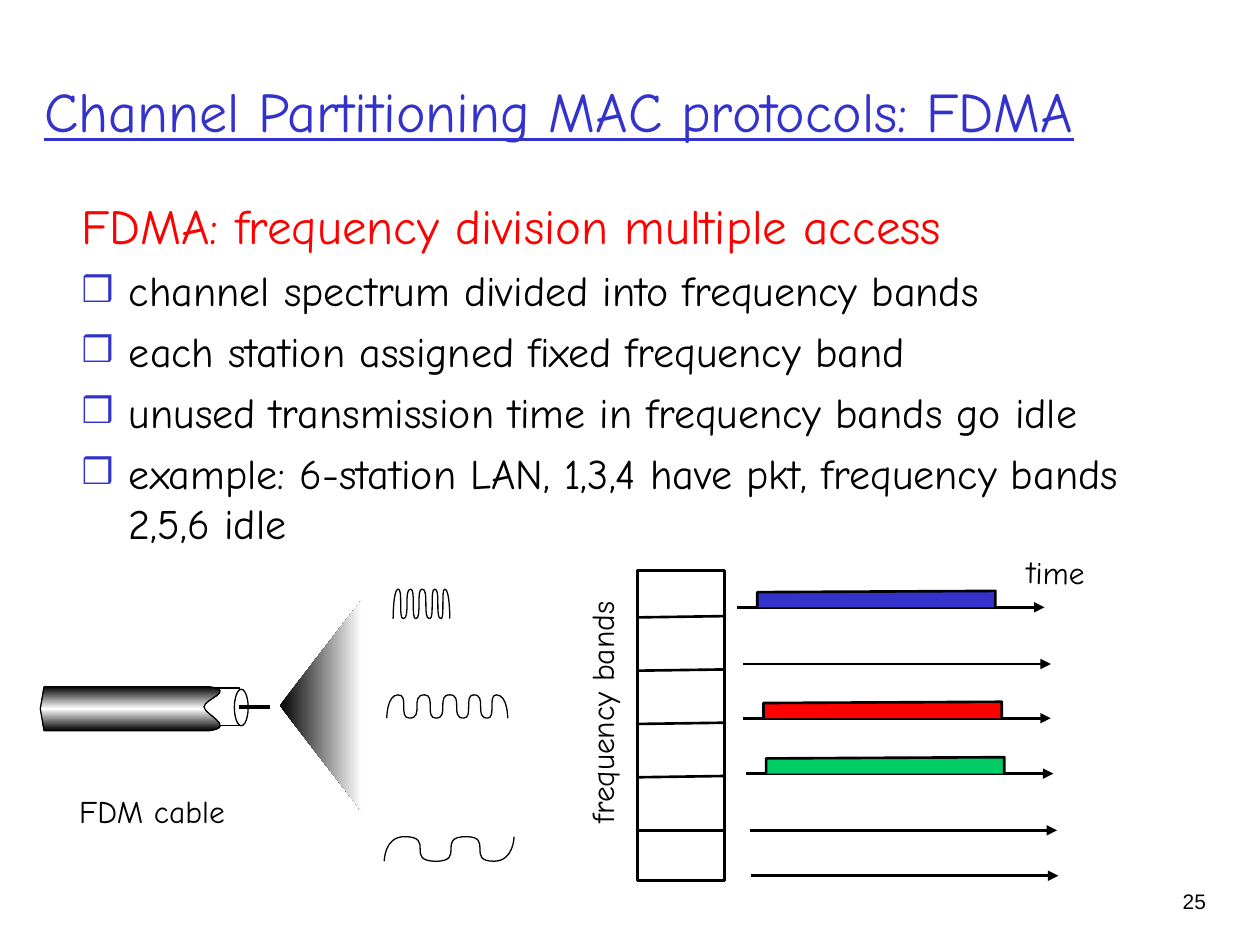
from copy import deepcopy

from lxml import etree
from pptx import Presentation
from pptx.dml.color import RGBColor
from pptx.enum.shapes import MSO_CONNECTOR, MSO_SHAPE
from pptx.enum.text import MSO_ANCHOR, MSO_AUTO_SIZE, PP_ALIGN
from pptx.oxml.ns import qn
from pptx.util import Inches, Pt

LINE = MSO_CONNECTOR.STRAIGHT
RECT, OVAL = MSO_SHAPE.RECTANGLE, MSO_SHAPE.OVAL
LEFT, RIGHT = PP_ALIGN.LEFT, PP_ALIGN.RIGHT
MIDDLE, TOP = MSO_ANCHOR.MIDDLE, MSO_ANCHOR.TOP
FIXED, GROW = MSO_AUTO_SIZE.NONE, MSO_AUTO_SIZE.SHAPE_TO_FIT_TEXT

HAND, SANS = "Comic Neue", "Arial"
BLACK, WHITE, BLUE, RED, GREEN = "000000", "FFFFFF", "3333CC", "FF0000", "00CC66"
WIDTH, HEIGHT = Inches(10), Inches(7.5)
COLS = 100  # square grid: 100 columns by 75 rows


def unit(n):
    return round(n * WIDTH / COLS)


def color(code):
    return RGBColor.from_string(code)


def style(run, size, code, face=HAND):
    run.font.size, run.font.name = Pt(size), face
    run.font.color.rgb = color(code)


def label(slide, words, box, size=18, face=HAND, align=LEFT, turn=0, wrap=False):
    shape = slide.shapes.add_textbox(*map(unit, box))
    shape.rotation = turn
    frame = shape.text_frame
    frame.text, frame.word_wrap = words, wrap
    frame.auto_size = FIXED if wrap else GROW
    par = frame.paragraphs[0]
    par.alignment = align
    style(par.runs[0], size, BLACK, face)


def finish(shape, fill=None, pen=0):
    """Plain fill and black outline; no pen means no outline."""
    shape.shadow.inherit = False
    if fill:
        shape.fill.solid()
        shape.fill.fore_color.rgb = color(fill)
    else:
        shape.fill.background()
    if pen:
        shape.line.width = Pt(pen)
        shape.line.color.rgb = color(BLACK)
    else:
        shape.line.fill.background()


def shade(shape, angle, codes):
    """Gradient with evenly spaced stops."""
    fill = shape.fill
    fill.gradient()
    fill.gradient_angle = angle
    stops = shape._element.spPr.find(".//" + qn("a:gsLst"))
    while len(stops) < len(codes):
        stops.append(deepcopy(stops[0]))
    for i, (stop, code) in enumerate(zip(fill.gradient_stops, codes)):
        stop.position = i / (len(codes) - 1)
        stop.color.rgb = color(code)


def solid(slide, kind, box, pen):
    finish(slide.shapes.add_shape(kind, *map(unit, box)), WHITE, pen)


def rule(slide, x, y, length, pen=1.5, arrow=False, rise=0):
    ends = (x, y, x + length, y - rise)
    line = slide.shapes.add_connector(LINE, *map(unit, ends))
    line.line.width = Pt(pen)
    line.line.color.rgb = color(BLACK)
    props = line._element.spPr
    if arrow:
        etree.SubElement(props.find(qn("a:ln")), qn("a:tailEnd"), type="triangle")
    etree.SubElement(props, qn("a:effectLst"))


def outline(slide, start, parts, close=False):
    """Path of parts: one point makes a line, three points a cubic curve."""
    dots = [(unit(x), unit(y)) for part in parts for x, y in part]
    path = slide.shapes.build_freeform(*map(unit, start))
    path.add_line_segments(dots, close=close)
    shape = path.convert_to_shape()
    steps = iter(shape._element.spPr.findall(".//" + qn("a:lnTo")))
    for part in parts:
        first, *others = [next(steps) for _ in part]
        if others:
            first.tag = qn("a:cubicBezTo")
            for step in others:
                first.append(step[0])
                step.getparent().remove(step)
    return shape


def wave(slide, box, turns):
    """Swing from the foot of the box to its top and back at each turn."""
    x, y, _, high = box
    knots = [(x + t, y + high * (i % 2 == 0)) for i, t in enumerate(turns)]
    last = len(knots) - 2
    parts = []
    for i, (a, b) in enumerate(zip(knots, knots[1:])):
        lead = a if i == 0 else (b[0], a[1])
        trail = b if i == last else (a[0], b[1])
        parts.append([lead, trail, b])
    finish(outline(slide, knots[0], parts), pen=0.75)


def heading(slide, box):
    title = slide.shapes.title
    title.left, title.top, title.width, title.height = map(unit, box)
    frame = title.text_frame
    frame.text = "Channel Partitioning MAC protocols: FDMA"
    frame.word_wrap, frame.auto_size = True, FIXED
    frame.vertical_anchor = MIDDLE
    par = frame.paragraphs[0]
    par.alignment = LEFT
    style(par.runs[0], 32, BLUE)
    par.runs[0].font.underline = True


def bullet(par):
    props = par._p.get_or_add_pPr()
    props.set("marL", str(unit(3.75)))
    props.set("indent", str(unit(-3.75)))
    tint = etree.SubElement(props, qn("a:buClr"))
    etree.SubElement(tint, qn("a:srgbClr"), val=BLUE)
    etree.SubElement(props, qn("a:buSzPct"), val="85000")
    etree.SubElement(props, qn("a:buFont"), typeface=SANS)
    etree.SubElement(props, qn("a:buChar"), char="❒")


def points(slide, box):
    frame = slide.shapes.add_textbox(*map(unit, box)).text_frame
    frame.word_wrap, frame.vertical_anchor = True, TOP
    frame.text = "\n".join([
        "FDMA: frequency division multiple access",
        "channel spectrum divided into frequency bands",
        "each station assigned fixed frequency band",
        "unused transmission time in frequency bands go idle",
        "example: 6-station LAN, 1,3,4 have pkt, frequency bands 2,5,6 idle",
    ])
    first, *rest = frame.paragraphs
    style(first.runs[0], 28, RED)
    for par in rest:
        bullet(par)
        par.space_before = Pt(6)
        style(par.runs[0], 24, BLACK)


def cable(slide, box):
    x, y, _, high = box
    solid(slide, RECT, (x + 12.9, y + 0.1, 2.9, 3), 0.75)
    mid, foot = y + 1.6, y + high
    neck, lip, notch = x + 13.4, x + 15.6, x + 13
    parts = [[(x, y + high / 2)], [(x + 0.3, foot)], [(neck, foot)],
             [(lip, foot - 0.3), (notch, mid + 0.6), (notch, mid)],
             [(notch, mid - 0.6), (lip, y + 0.3), (neck, y)],
             [(x + 0.3, y)]]
    sheath = outline(slide, (x + 0.3, y), parts, close=True)
    finish(sheath, WHITE, 0.75)
    shade(sheath, 90, [BLACK, WHITE, BLACK])
    solid(slide, OVAL, (x + 15.4, y + 0.2, 1.1, 2.9), 0.75)
    rule(slide, x + 15.8, mid, 2.4, 2.25)
    label(slide, "FDM cable", (x + 2.1, y + 7.9, 13.6, 4))


def fan(slide, box):
    x, y, wide, high = box
    far = x + wide
    parts = [[(x, y + high / 2)], [(far, y + high)], [(far, y)]]
    beam = outline(slide, (far, y), parts, close=True)
    finish(beam, WHITE)
    shade(beam, 0, [BLACK, WHITE])


def bands(slide, box):
    x, y, wide, _ = box
    solid(slide, RECT, box, 1.5)
    for i in range(5):
        rise = 0 if i == 4 else 0.1
        rule(slide, x, y + 3.7 + 4.23 * i, wide, rise=rise)
    label(slide, "frequency bands", (x - 12.7, y + 9.2, 19.7, 4), turn=270)


def signals(slide, box):
    """Time axes, with a pulse on each band that is in use."""
    x, y, wide, _ = box
    axes = [(0, 0, BLUE), (0.5, 4.5, None), (0.5, 8.8, RED),
            (0.7, 13.2, GREEN), (1, 17.7, None), (1.1, 21.3, None)]
    for shift, drop, code in axes:
        left, base = x + shift, y + drop
        rule(slide, left, base, wide, arrow=True)
        if code:
            a, b, top = left + 1.6, left + 20.5, base - 1.3
            parts = [[(a, top + 0.1)], [(b, top)], [(b, base)]]
            finish(outline(slide, (a, base), parts), code, 1.5)
    label(slide, "time", (x + 22, y - 4.8, 6.6, 4), turn=1.1)


def main():
    deck = Presentation()
    deck.slide_width, deck.slide_height = WIDTH, HEIGHT
    slide = deck.slides.add_slide(deck.slide_layouts[5])
    heading(slide, (2.5, 2.5, 94.4, 12.5))
    points(slide, (5.5, 15, 89.9, 50.8))
    bands(slide, (50.6, 45.3, 6.9, 24.6))
    signals(slide, (58.5, 48.2, 24.4, 21.3))
    fan(slide, (22.2, 47.6, 6.5, 16.8))
    cable(slide, (3.2, 54.5, 18.2, 3.5))
    wave(slide, (31.2, 46.75, 4.5, 2.35),
         [0, 0.4, 0.8, 1.4, 1.8, 2.3, 2.9, 3.3, 3.8, 4.1, 4.5])
    wave(slide, (30.7, 55.15, 9.6, 1.85),
         [0, 0.9, 1.8, 3, 3.9, 5, 6.1, 6.9, 8, 8.7, 9.6])
    wave(slide, (30.5, 66.4, 10.3, 1.95), [0, 1.6, 4.1, 6.5, 8.7, 10.3])
    label(slide, "25", (89.3, 70, 7.4, 5), 12, SANS, RIGHT, wrap=True)
    deck.save("out.pptx")


if __name__ == "__main__":
    main()
